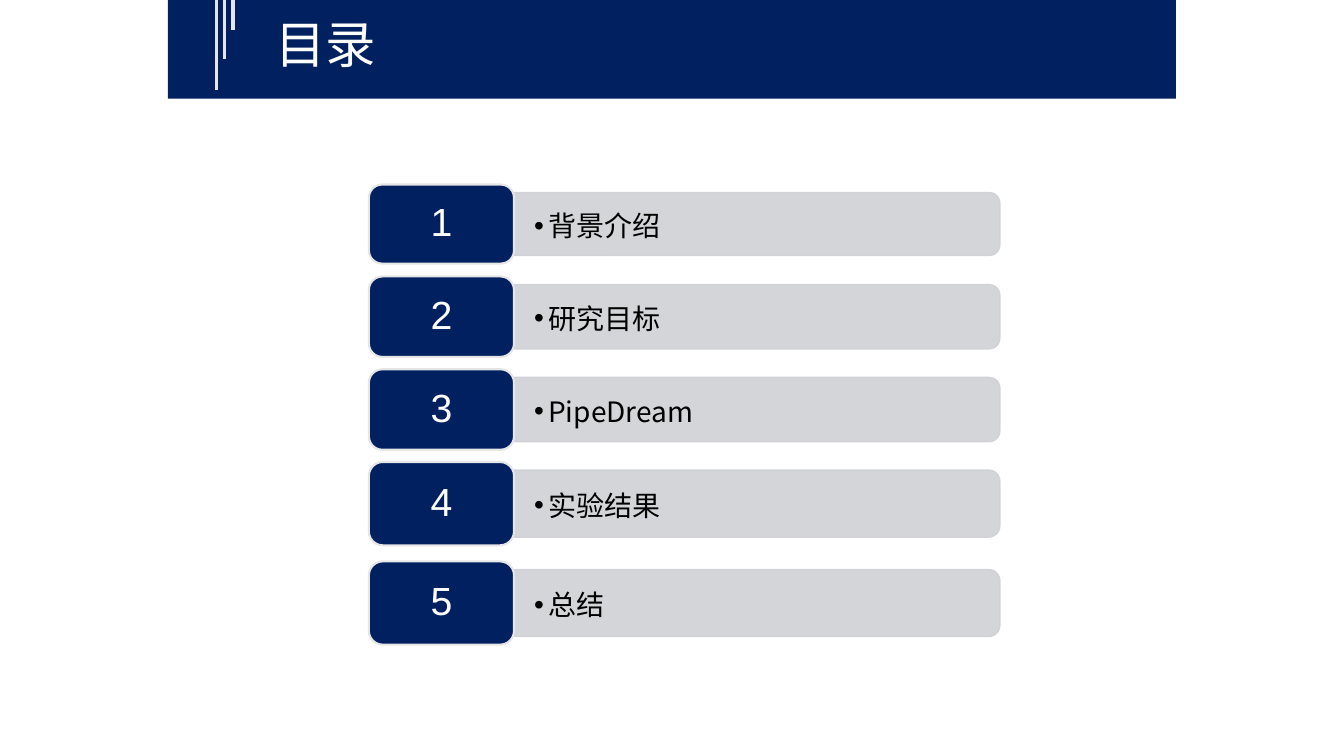
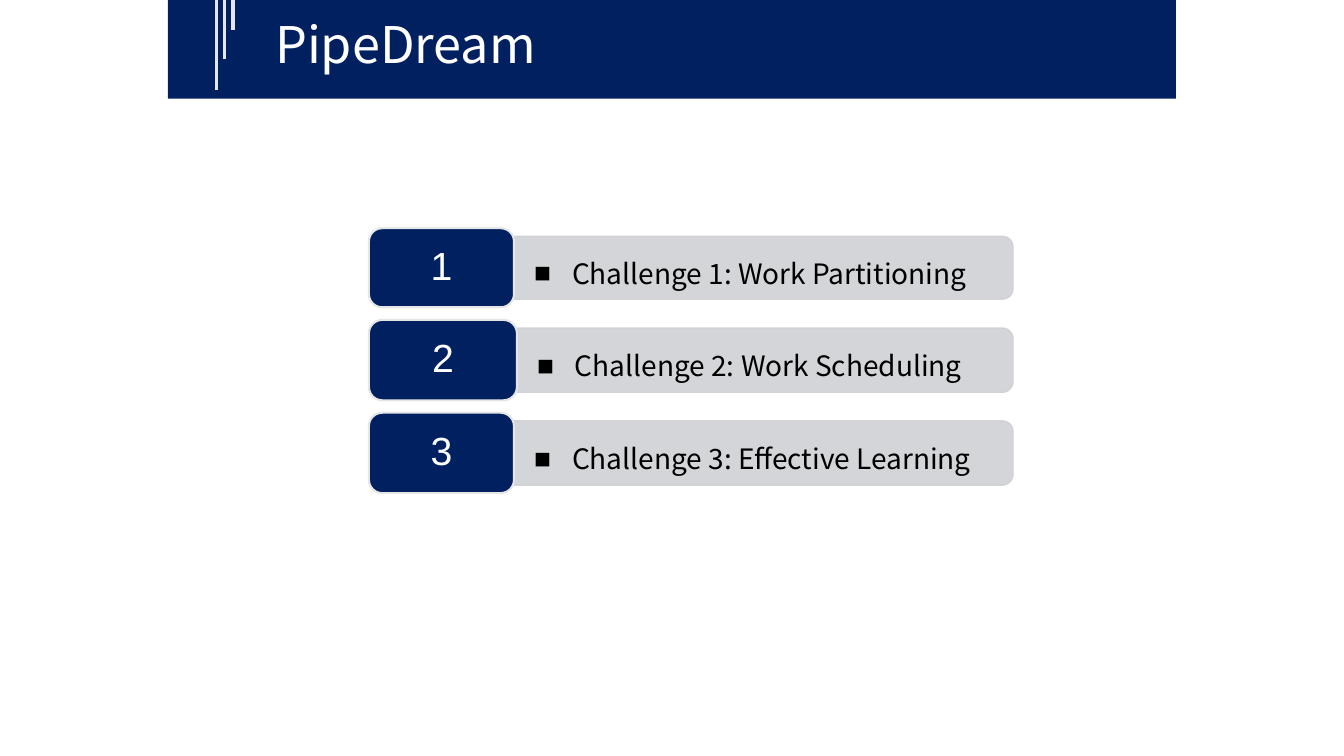
from dataclasses import dataclass
from lxml.etree import SubElement
from pptx import Presentation
from pptx.dml.color import RGBColor
from pptx.enum.shapes import MSO_CONNECTOR, MSO_SHAPE
from pptx.enum.text import MSO_ANCHOR, MSO_AUTO_SIZE, PP_ALIGN
from pptx.oxml.ns import qn
from pptx.util import Pt


@dataclass(frozen=True)
class Theme:
    navy: RGBColor = RGBColor(0x00, 0x20, 0x60)
    grey: RGBColor = RGBColor(0xCF, 0xD1, 0xD4)
    pale: RGBColor = RGBColor(0xE7, 0xE6, 0xE6)
    white: RGBColor = RGBColor(0xFF, 0xFF, 0xFF)
    black: RGBColor = RGBColor(0x00, 0x00, 0x00)
    sans: str = "Noto Sans CJK SC"
    digit: str = "Arial"
    head: int = 36
    mark: int = 28
    body: int = 20
    line: int = 29
    alpha: int = 90


@dataclass(frozen=True)
class Row:
    text: str
    top: float
    high: float
    wide: float = 103.7

    @property
    def mid(self):
        return self.top + self.high / 2


@dataclass(frozen=True)
class Style:
    right: float
    sign: str
    hang: float
    shift: float


def put(item, **values):
    for name, value in values.items():
        setattr(item, name, value)


def place(item, left, top, wide, high):
    put(item, left=Pt(left), top=Pt(top), width=Pt(wide), height=Pt(high))


class Deck:
    LEFT = 263.5
    INSET = 5.8
    PAD = 14.4

    def __init__(self, theme):
        self.theme = theme
        self.show = Presentation()
        put(self.show, slide_width=Pt(960), slide_height=Pt(540))
        self.slide = None

    def start(self, title):
        self.slide = self.show.slides.add_slide(self.show.slide_layouts[1])
        self.shape(MSO_SHAPE.RECTANGLE, (120, 0, 720, 70.5), self.theme.navy)
        for step, end in enumerate((64, 42, 21.5)):
            self.stripe(154.8 + 5.8 * step, end)
        self.title(title)

    def shape(self, kind, box, fill, line=None, width=1):
        item = self.slide.shapes.add_shape(kind, *map(Pt, box))
        item.shadow.inherit = False
        item.fill.solid()
        item.fill.fore_color.rgb = fill
        if line is None:
            item.line.fill.background()
        else:
            item.line.color.rgb = line
            item.line.width = Pt(width)
        return item

    def stripe(self, x, end):
        item = self.slide.shapes.add_connector(
            MSO_CONNECTOR.STRAIGHT, Pt(x), 0, Pt(x), Pt(end))
        item.line.color.rgb = self.theme.pale
        item.line.width = Pt(2.25)
        SubElement(item.element.spPr, qn("a:effectLst"))

    def label(self, para, text, size, color, face):
        run = para.add_run()
        run.text = text
        put(run.font, name=face, size=Pt(size))
        run.font.color.rgb = color
        SubElement(run._r.get_or_add_rPr(), qn("a:ea"), typeface=face)

    def lift(self, item):
        self.slide.shapes.element.append(item.element)

    def title(self, text):
        item = self.slide.shapes.title
        place(item, 189.4, 5.8, 218, 51)
        frame = item.text_frame
        put(frame, auto_size=MSO_AUTO_SIZE.NONE, word_wrap=True,
            vertical_anchor=MSO_ANCHOR.TOP)
        para = frame.paragraphs[0]
        para.alignment = PP_ALIGN.LEFT
        look = self.theme
        self.label(para, text, look.head, look.white, look.sans)
        self.lift(item)

    def bar(self, row, right):
        left = self.LEFT + row.wide
        wide, high = right - left, row.high - 2 * self.INSET
        box = (left + (wide - high) / 2, row.mid - wide / 2, high, wide)
        grey = self.theme.grey
        item = self.shape(MSO_SHAPE.ROUND_2_SAME_RECTANGLE, box, grey, grey)
        item.rotation = 90
        for tint in item.element.spPr.iter(qn("a:srgbClr")):
            SubElement(tint, qn("a:alpha"), val=str(self.theme.alpha * 1000))

    def tile(self, row, mark):
        look = self.theme
        box = (self.LEFT, row.top, row.wide, row.high)
        item = self.shape(MSO_SHAPE.ROUNDED_RECTANGLE, box, look.navy,
                          look.pale, 1.5)
        frame = item.text_frame
        frame.vertical_anchor = MSO_ANCHOR.MIDDLE
        para = frame.paragraphs[0]
        put(para, alignment=PP_ALIGN.CENTER, line_spacing=0.9)
        self.label(para, str(mark), look.mark, look.white, look.digit)

    def bullet(self, para, sign, left, hang):
        props = para._p.get_or_add_pPr()
        props.set("marL", str(int(Pt(left))))
        props.set("indent", str(int(Pt(-hang))))
        SubElement(props, qn("a:buFont"), typeface=self.theme.digit)
        SubElement(props, qn("a:buChar"), char=sign)

    def agenda(self, rows, style):
        look = self.theme
        for mark, row in enumerate(rows, 1):
            self.bar(row, style.right)
            self.tile(row, mark)
        first, last = rows[0], rows[-1]
        item = self.slide.placeholders[1]
        left = self.LEFT + first.wide + self.PAD
        place(item, left, first.mid - look.line / 2 + style.shift,
              style.right - left - self.PAD, last.mid - first.mid + look.line)
        frame = item.text_frame
        put(frame, auto_size=MSO_AUTO_SIZE.NONE, word_wrap=True,
            vertical_anchor=MSO_ANCHOR.TOP, margin_left=0, margin_right=0,
            margin_top=0, margin_bottom=0)
        above = first.mid - look.line
        for row in rows:
            para = frame.paragraphs[0] if row is first else frame.add_paragraph()
            inset = style.hang + row.wide - first.wide
            self.bullet(para, style.sign, inset, style.hang)
            put(para, alignment=PP_ALIGN.LEFT, line_spacing=Pt(look.line),
                space_before=Pt(row.mid - above - look.line), space_after=Pt(0))
            self.label(para, row.text, look.body, look.black, look.sans)
            above = row.mid
        self.lift(item)


def main():
    deck = Deck(Theme())
    deck.start("目录")
    deck.agenda([
        Row("背景介绍", 131.8, 56.5),
        Row("研究目标", 197.5, 57.5),
        Row("PipeDream", 263.8, 57.5),
        Row("实验结果", 330, 59.5),
        Row("总结", 401, 59.5),
    ], Style(right=714.2, sign="•", hang=10, shift=-1.5))
    deck.start("PipeDream")
    deck.agenda([
        Row("Challenge 1: Work Partitioning", 163, 56.5),
        Row("Challenge 2: Work Scheduling", 228.5, 57.5, 105.8),
        Row("Challenge 3: Effective Learning", 294.8, 57.5),
    ], Style(right=723.6, sign="■", hang=27, shift=1.5))
    deck.show.save("out.pptx")


if __name__ == "__main__":
    main()
